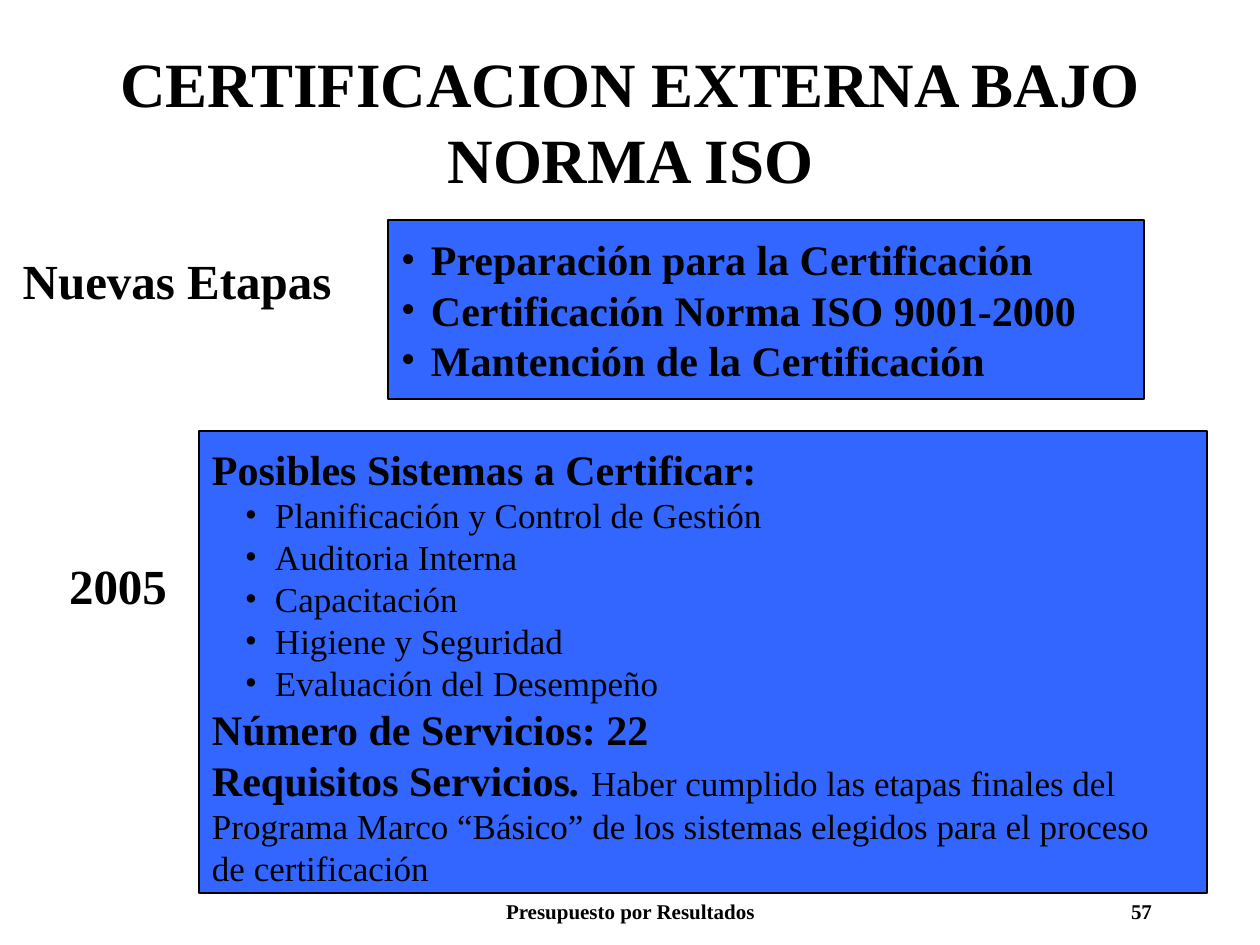
from dataclasses import dataclass

from lxml.etree import SubElement
from pptx import Presentation
from pptx.dml.color import RGBColor
from pptx.enum.shapes import MSO_SHAPE
from pptx.enum.text import MSO_ANCHOR, PP_ALIGN
from pptx.oxml.ns import qn
from pptx.util import Emu, Pt


@dataclass(frozen=True)
class Theme:
    font: str = "Times New Roman"
    ink: RGBColor = RGBColor(0, 0, 0)
    panel: RGBColor = RGBColor(0x33, 0x66, 0xFF)
    title: int = 36
    label: int = 28
    heading: int = 24
    body: int = 20
    footer: int = 12
    leading: float = 1.2
    bullet_hang: int = 30


THEME = Theme()
STAGES = [
    "Preparación para la Certificación",
    "Certificación Norma ISO 9001-2000",
    "Mantención de la Certificación",
]
SYSTEMS = [
    "Planificación y Control de Gestión",
    "Auditoria Interna",
    "Capacitación",
    "Higiene y Seguridad",
    "Evaluación del Desempeño",
]
REQUIREMENT_LINES = [
    "Programa Marco “Básico” de los sistemas elegidos para el proceso",
    "de certificación",
]


def px(length):
    return Emu(round(length * 914400 / 126))


def style_font(font, size, bold):
    font.name = THEME.font
    font.size = Pt(size)
    font.bold = bold
    font.color.rgb = THEME.ink


def add_paragraph(frame, text, size, bold=True, align=PP_ALIGN.LEFT):
    first = frame.paragraphs[0]
    para = frame.add_paragraph() if first.runs else first
    para.alignment = align
    para.line_spacing = Pt(size * THEME.leading)
    style_font(para.font, size, bold)
    para.add_run().text = text
    return para


def add_bullet(frame, text, size, bold, margin):
    para = add_paragraph(frame, text, size, bold)
    properties = para._p.get_or_add_pPr()
    properties.set("marL", str(px(margin)))
    properties.set("indent", str(-px(THEME.bullet_hang)))
    for tag, name, value in [("a:buFont", "typeface", THEME.font),
                             ("a:buChar", "char", "•")]:
        bullet = SubElement(properties, qn(tag))
        bullet.set(name, value)
        properties.insert_element_before(bullet, "a:tabLst", "a:defRPr", "a:extLst")


def set_frame(frame, anchor, side=13, top=6):
    frame.word_wrap = True
    frame.vertical_anchor = anchor
    frame.margin_left = frame.margin_right = px(side)
    frame.margin_top, frame.margin_bottom = px(top), px(6)


def add_text(page, place, text, size, align=PP_ALIGN.CENTER,
             anchor=MSO_ANCHOR.TOP, side=13):
    box = page.shapes.add_textbox(*map(px, place))
    set_frame(box.text_frame, anchor, side)
    add_paragraph(box.text_frame, text, size, align=align)


def add_panel(page, place, top=6):
    panel = page.shapes.add_shape(MSO_SHAPE.RECTANGLE, *map(px, place))
    panel.shadow.inherit = False
    panel.fill.solid()
    panel.fill.fore_color.rgb = THEME.panel
    panel.line.color.rgb = THEME.ink
    panel.line.width = Pt(0.75)
    set_frame(panel.text_frame, MSO_ANCHOR.MIDDLE, top=top)
    return panel.text_frame


def fill_systems(frame):
    add_paragraph(frame, "Posibles Sistemas a Certificar:", THEME.heading)
    for system in SYSTEMS:
        add_bullet(frame, system, THEME.body, False, 63)
    add_paragraph(frame, "Número de Servicios: 22", THEME.heading)
    para = add_paragraph(frame, "Requisitos Servicios", THEME.heading)
    stop = para.add_run()
    stop.text = ". "
    stop.font.italic = True
    detail = para.add_run()
    detail.text = "Haber cumplido las etapas finales del"
    style_font(detail.font, THEME.body, False)
    for line in REQUIREMENT_LINES:
        add_paragraph(frame, line, THEME.body, False)


def main():
    deck = Presentation()
    deck.slide_width, deck.slide_height = px(1260), px(945)
    page = deck.slides.add_slide(deck.slide_layouts[6])

    add_text(page, (10, 245, 334, 72), "Nuevas Etapas", THEME.label, side=0)
    add_text(page, (57, 550, 122, 72), "2005", THEME.label, side=0)

    stages = add_panel(page, (388, 220, 756, 179))
    for stage in STAGES:
        add_bullet(stages, stage, THEME.heading, True, THEME.bullet_hang)
    fill_systems(add_panel(page, (199, 431, 1008, 462), top=14))

    add_text(page, (95, 42, 1071, 157), "CERTIFICACION EXTERNA BAJO NORMA ISO",
             THEME.title, anchor=MSO_ANCHOR.MIDDLE)
    add_text(page, (431, 892, 399, 32), "Presupuesto por Resultados", THEME.footer)
    add_text(page, (903, 892, 262, 32), "57", THEME.footer, PP_ALIGN.RIGHT)
    deck.save("out.pptx")


if __name__ == "__main__":
    main()
